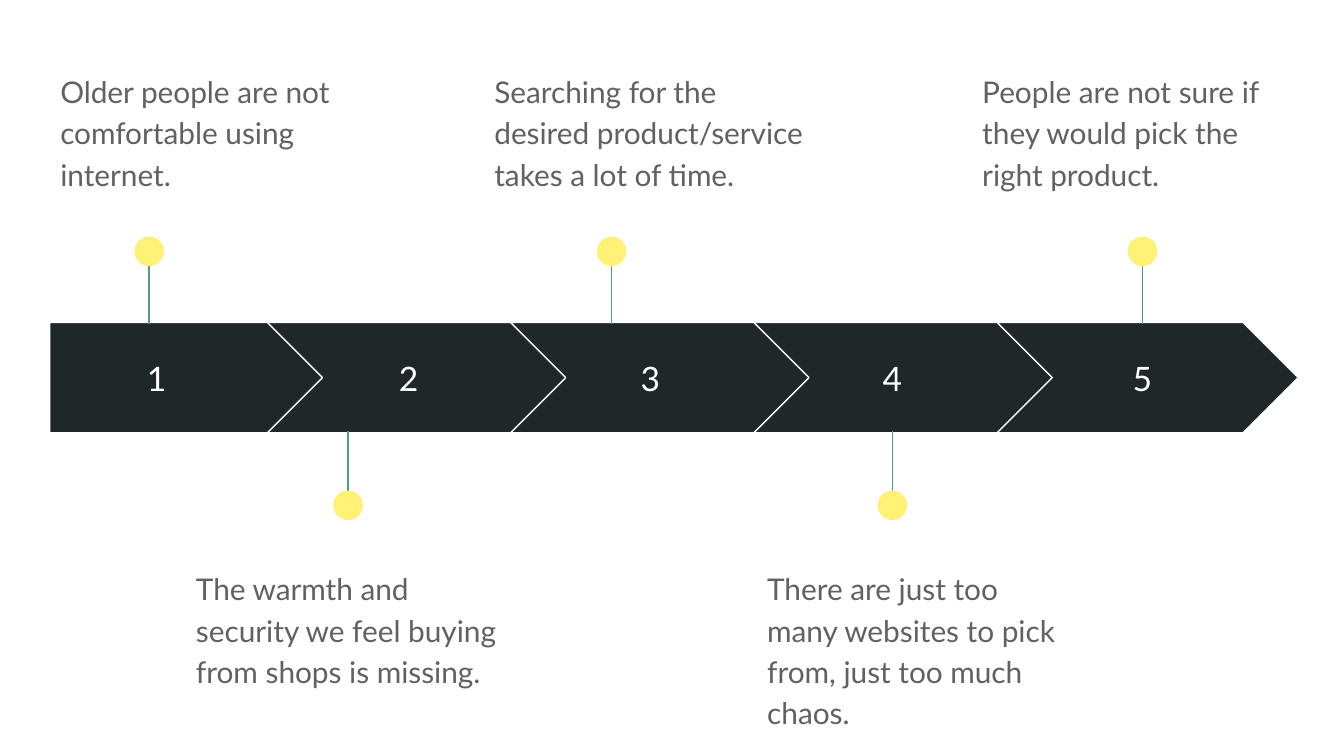
from lxml.etree import SubElement
from pptx import Presentation
from pptx.dml.color import RGBColor
from pptx.enum.shapes import MSO_CONNECTOR, MSO_SHAPE
from pptx.enum.text import MSO_ANCHOR, PP_ALIGN
from pptx.oxml.ns import qn
from pptx.util import Inches, Pt

FONT = "Lato"
DARK, GREEN, YELLOW, GRAY, WHITE = "202729", "4BA173", "FFF176", "616161", "FFFFFF"

ARROW_TOP, ARROW_HEIGHT = 2.4, 0.82
CHEVRON_LEFT, CHEVRON_WIDTH, CHEVRON_STEP = 1.99, 2.24, 1.81
DOT = 0.22

# Number box left and width, pin centre, text left and width, text
STEPS = [
    (0.37, 1.59, 1.11, 0.35, 2.45, "Older people are not comfortable using internet."),
    (2.32, 1.44, 2.59, 1.36, 2.45, "The warmth and security we feel buying from shops is missing."),
    (4.12, 1.44, 4.55, 3.58, 2.52, "Searching for the desired product/service takes a lot of time."),
    (5.92, 1.44, 6.64, 5.61, 2.45,
     "There are just too many websites to pick from, just too much chaos."),
    (7.78, 1.44, 8.5, 7.21, 2.45, "People are not sure if they would pick the right product."),
]


def color(value):
    return RGBColor.from_string(value)


def add_shape(s, kind, x, y, w, h, fill, line=None):
    sp = s.shapes.add_shape(kind, Inches(x), Inches(y), Inches(w), Inches(h))
    sp.shadow.inherit = False
    sp.fill.solid()
    sp.fill.fore_color.rgb = color(fill)
    if line:
        sp.line.color.rgb = color(line)
        sp.line.width = Pt(0.75)
    else:
        sp.line.fill.background()
    return sp


def add_text(s, x, y, w, h, text, size, fill):
    tf = s.shapes.add_textbox(Inches(x), Inches(y), Inches(w), Inches(h)).text_frame
    tf.word_wrap = True
    tf.margin_left = tf.margin_right = tf.margin_top = tf.margin_bottom = Inches(0.1)
    p = tf.paragraphs[0]
    p.text = text
    p.font.name = FONT
    p.font.size = Pt(size)
    p.font.color.rgb = color(fill)
    return tf


def add_step(s, index, x, w):
    if index == 0:
        kind, left, width = MSO_SHAPE.PENTAGON, 0.37, 2.05
    else:
        kind, width = MSO_SHAPE.CHEVRON, CHEVRON_WIDTH
        left = CHEVRON_LEFT + (index - 1) * CHEVRON_STEP
    sp = add_shape(s, kind, left, ARROW_TOP, width, ARROW_HEIGHT, DARK, WHITE)
    sp.adjustments[0] = 0.5
    tf = add_text(s, x, 2.56, w, 0.51, str(index + 1), 18, WHITE)
    tf.vertical_anchor = MSO_ANCHOR.MIDDLE
    tf.paragraphs[0].alignment = PP_ALIGN.CENTER


def add_pin(s, x, start, end, dot_top):
    line = s.shapes.add_connector(
        MSO_CONNECTOR.STRAIGHT, Inches(x), Inches(start), Inches(x), Inches(end))
    line.line.color.rgb = color(GREEN)
    line.line.width = Pt(0.75)
    SubElement(line._element.spPr, qn("a:effectLst"))
    add_shape(s, MSO_SHAPE.OVAL, x - DOT / 2, dot_top, DOT, DOT, YELLOW)


def add_description(s, x, y, w, text):
    p = add_text(s, x, y, w, 0.99, text, 16, GRAY).paragraphs[0]
    p.line_spacing = 1.15
    p.space_after = Pt(16)


def main():
    # Widescreen 16:9 slide
    prs = Presentation()
    prs.slide_width = Inches(10)
    prs.slide_height = Inches(10 * 9 / 16)
    s = prs.slides.add_slide(prs.slide_layouts[6])

    # Arrow band with numbers
    for i, (number_x, number_w, *_) in enumerate(STEPS):
        add_step(s, i, number_x, number_w)

    # Pins and descriptions, alternating above and below the band
    for i, (_, _, pin_x, text_x, text_w, text) in enumerate(STEPS):
        if i % 2 == 0:
            add_pin(s, pin_x, 1.8, 2.41, 1.76)
            add_description(s, text_x, 0.41, text_w, text)
        else:
            add_pin(s, pin_x, 3.82, 3.21, 3.65)
            add_description(s, text_x, 4.11, text_w, text)

    prs.save("out.pptx")


if __name__ == "__main__":
    main()
